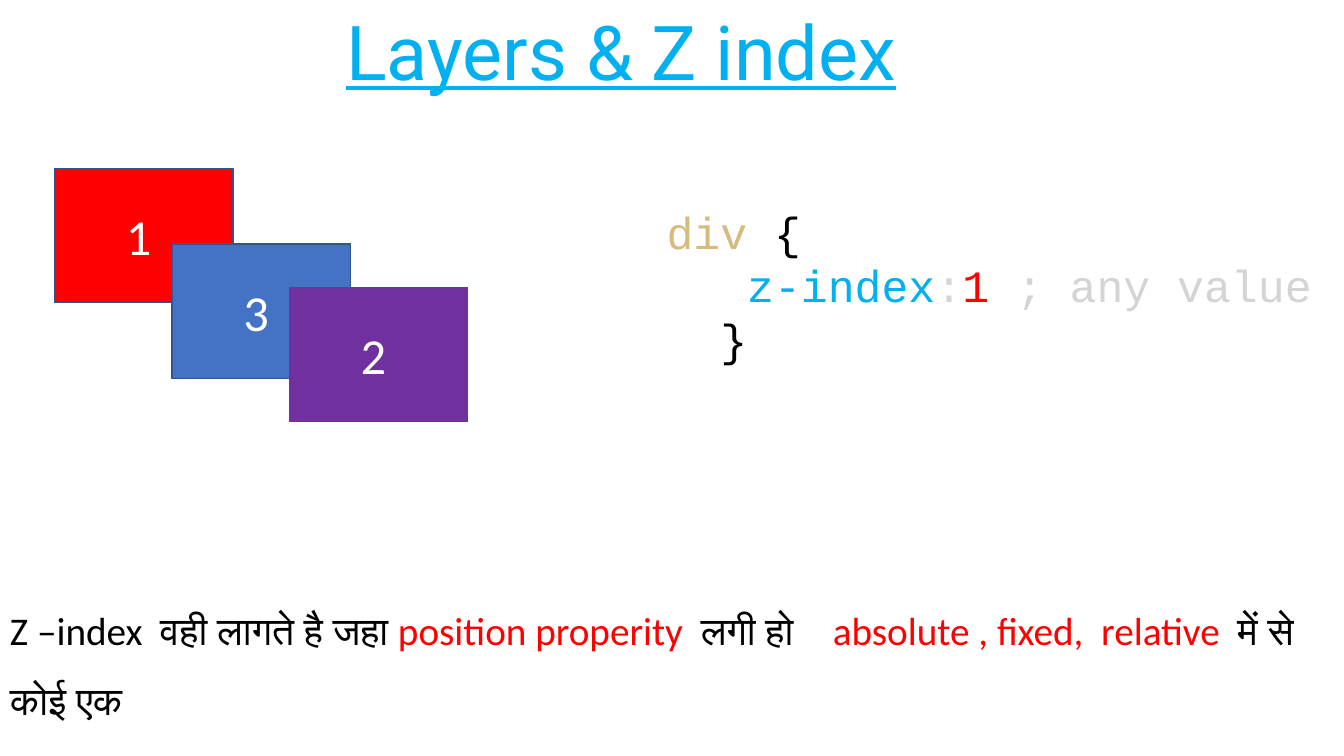
from lxml import etree
from pptx import Presentation
from pptx.dml.color import RGBColor
from pptx.enum import shapes, text
from pptx.oxml import ns
from pptx.util import Pt

HUES = {
    "sky": "00B0F0", "red": "FF0000", "blue": "4472C4", "plum": "7030A0",
    "edge": "325491", "white": "FFFFFF", "black": "000000",
    "tan": "D7BA7D", "gray": "D4D4D4",
}


def hue(name):
    return RGBColor.from_string(HUES[name])


def write(para, runs, font, size, line=False, indent=0, tab=None, space=None):
    """Fill a paragraph with (words, colour) runs; indent and tab are in points."""
    para.alignment = text.PP_ALIGN.LEFT
    if space:
        para.line_spacing = space
    props = para._p.get_or_add_pPr()
    if indent:
        props.set("marL", "0")
        props.set("indent", str(Pt(indent)))
    if tab:
        stops = etree.SubElement(props, ns.qn("a:tabLst"))
        etree.SubElement(stops, ns.qn("a:tab"), pos=str(Pt(tab)), algn="l")
    for words, tint in runs:
        run = para.add_run()
        run.text = words
        run.font.name = font
        run.font.size = Pt(size)
        run.font.underline = line
        run.font.color.rgb = hue(tint)


deck = Presentation()
deck.slide_width, deck.slide_height = Pt(960), Pt(540)
slide = deck.slides.add_slide(deck.slide_layouts[5])

# Title
title = slide.shapes.title
title.left, title.top, title.width, title.height = Pt(240), Pt(0), Pt(535), Pt(72.7)
title.text_frame.vertical_anchor = text.MSO_ANCHOR.TOP
title.text_frame.auto_size = text.MSO_AUTO_SIZE.NONE
write(title.text_frame.paragraphs[0], [("Layers & Z index", "sky")],
      "Roboto", 54, line=True)

# Stacked layers, back to front
layers = [("1", "red", 120.2), ("3", "blue", 174.2), ("2", "plum", 205.2)]
for step, (label, tint, top) in enumerate(layers):
    box = slide.shapes.add_shape(shapes.MSO_SHAPE.RECTANGLE,
                                 Pt(38.9 + 83.9 * step), Pt(top), Pt(127.5), Pt(96))
    box.shadow.inherit = False
    box.fill.solid()
    box.fill.fore_color.rgb = hue(tint)
    box.line.color.rgb = hue("edge")
    box.line.width = Pt(1)
    frame = box.text_frame
    frame.margin_left = Pt(51)
    frame.vertical_anchor = text.MSO_ANCHOR.MIDDLE
    write(frame.paragraphs[0], [(label, "white")], "Calibri", 36)

# Text blocks: place, font, size, then paragraphs of runs with their format
CHAR = 19.2  # width of one code letter
blocks = [
    ((0, 412.5, 960, 105), "Calibri", 28, [
        ([("Z –index  वही लागते है जहा ", "black"), ("position properity  ", "red"),
          ("लगी हो\t", "black"), ("absolute , fixed,  relative  ", "red"),
          ("में से कोई एक", "black")], {"space": 1.5, "tab": 587.8}),
    ]),
    ((469, 142.5, 514, 124), "Courier New", 32, [
        ([("div ", "tan"), ("{", "black")], {}),
        ([("z-index", "sky"), (":", "gray"), ("1", "red"), (" ;\tany value", "gray")],
         {"indent": 3 * CHAR, "tab": 18 * CHAR}),
        ([("}", "black")], {"indent": 2 * CHAR}),
    ]),
]
for place, font, size, paras in blocks:
    frame = slide.shapes.add_textbox(*map(Pt, place)).text_frame
    frame.word_wrap = True
    frame.auto_size = text.MSO_AUTO_SIZE.SHAPE_TO_FIT_TEXT
    for row, (runs, form) in enumerate(paras):
        para = frame.add_paragraph() if row else frame.paragraphs[0]
        write(para, runs, font, size, **form)

deck.save("out.pptx")
